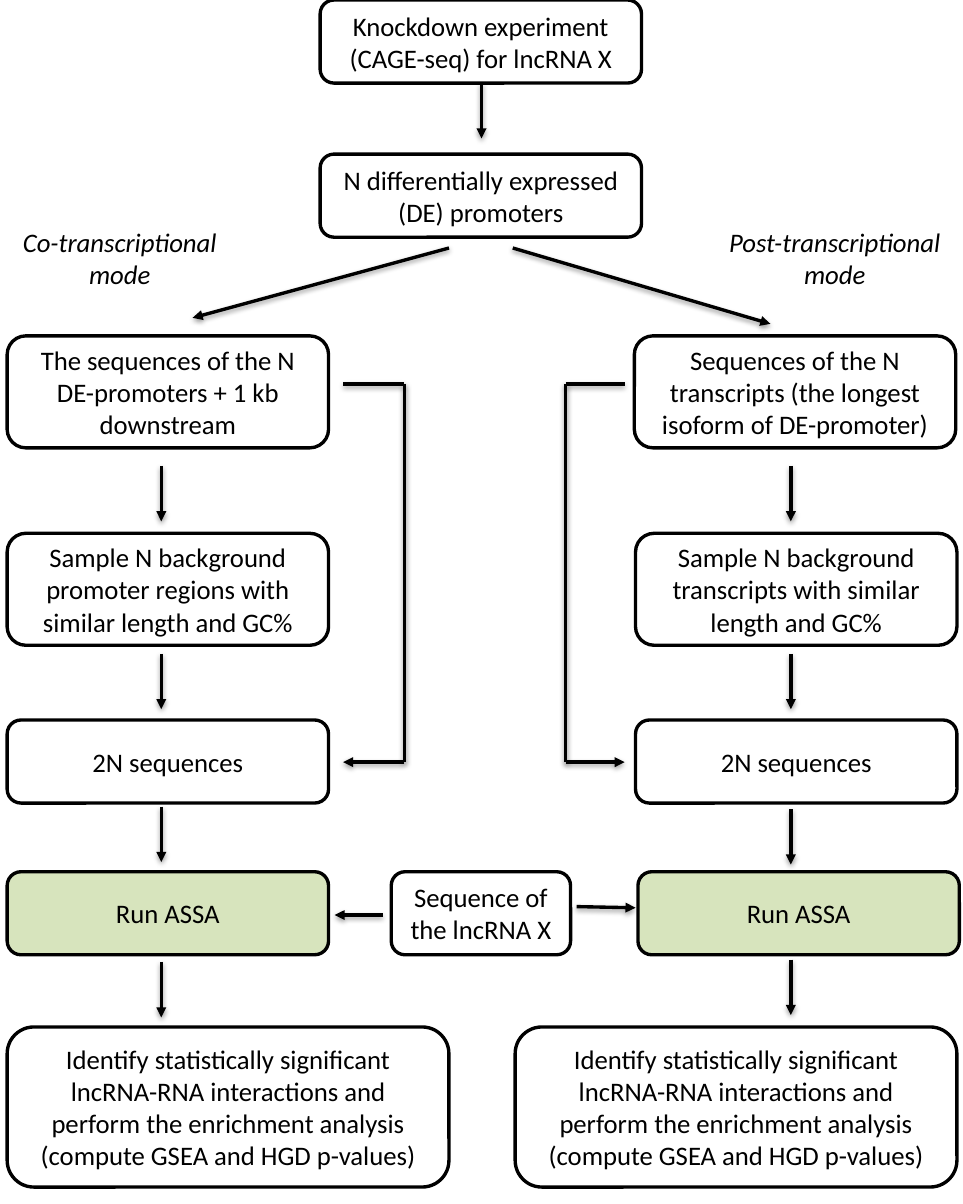
"""Build the lncRNA enrichment flowchart slide."""
from dataclasses import dataclass

from lxml import etree
from pptx import Presentation
from pptx.dml.color import RGBColor as RGB
from pptx.enum.shapes import MSO_CONNECTOR as LINK, MSO_SHAPE as SHAPE
from pptx.enum.text import MSO_ANCHOR as ANCHOR, PP_ALIGN as ALIGN
from pptx.oxml import parse_xml
from pptx.oxml.ns import nsdecls, qn
from pptx.util import Inches, Pt


@dataclass(frozen=True)
class Theme:
    ink: RGB = RGB(0, 0, 0)
    paper: RGB = RGB(255, 255, 255)
    green: RGB = RGB(0xD7, 0xE4, 0xBD)
    font: str = "Calibri"
    size: Pt = Pt(16)
    line: Pt = Pt(2)


LOOK = Theme()
WIDE, LOW, TALL = 2.67, 0.69, 0.93
DROP = 0.46
RUN = "Run ASSA"
PAIR = "2N sequences"
RESULT = ("Identify statistically significant lncRNA-RNA interactions and "
          "perform the enrichment analysis (compute GSEA and HGD p-values)")

HEADS = [
    ("Knockdown experiment (CAGE-seq) for lncRNA X", 0),
    ("N differentially expressed (DE) promoters", 1.28),
]
ROWS = [(2.79, WIDE, TALL), (4.43, WIDE, TALL), (5.98, WIDE, LOW),
        (7.24, WIDE, LOW), (8.53, 3.67, 1.33)]
LANES = [
    dict(lefts=[0.06] * 5, mid=1.34, drops=[3.87, 5.43, 6.7, 7.99],
         steps=["The sequences of the N DE-promoters + 1 kb downstream",
                "Sample N background promoter regions with similar length and GC%",
                PAIR, RUN, RESULT]),
    dict(lefts=[5.27, 5.28, 5.28, 5.3, 4.28], mid=6.57,
         drops=[3.87, 5.43, 6.72, 7.97],
         steps=["Sequences of the N transcripts (the longest isoform of DE-promoter)",
                "Sample N background transcripts with similar length and GC%",
                PAIR, RUN, RESULT]),
]
MODES = [("Co-transcriptional mode", 0, 1.99),
         ("Post-transcriptional mode", 5.87, 2.13)]
FORKS = [(3.73, 2.06, 1.6, 2.64), (4.26, 2.06, 6.4, 2.69)]
FEEDS = [(3.18, 7.6, 2.78, 7.6), (4.79, 7.53, 5.28, 7.54)]
LOOPS = [(3.36, 2.85), (4.7, 5.19)]
LOOP_TOP, LOOP_END = 3.19, 6.33

SHADE = (f'<a:effectLst {nsdecls("a")}><a:outerShdw blurRad="39370" '
         'dist="20320" dir="5400000" rotWithShape="0"><a:srgbClr val="000000">'
         '<a:alpha val="38000"/></a:srgbClr></a:outerShdw></a:effectLst>')


def box(text, left, top, wide, high, fill=LOOK.paper, label=False):
    """Add a rounded box, or a borderless italic label."""
    item = slide.shapes.add_shape(SHAPE.ROUNDED_RECTANGLE, Inches(left),
                                  Inches(top), Inches(wide), Inches(high))
    item.shadow.inherit = False
    item.fill.solid()
    item.fill.fore_color.rgb = fill
    if label:
        item.line.fill.background()
    else:
        item.line.color.rgb = LOOK.ink
        item.line.width = LOOK.line
    frame = item.text_frame
    frame.text = text
    frame.word_wrap = True
    frame.vertical_anchor = ANCHOR.MIDDLE
    para = frame.paragraphs[0]
    para.alignment = ALIGN.CENTER
    font = para.runs[0].font
    font.name, font.size = LOOK.font, LOOK.size
    font.color.rgb = LOOK.ink
    if label:
        font.italic = True


def link(x1, y1, x2, y2, arrow=True):
    """Add a shadowed straight line, with an arrowhead at its end if asked."""
    item = slide.shapes.add_connector(LINK.STRAIGHT, Inches(x1), Inches(y1),
                                      Inches(x2), Inches(y2))
    item.line.color.rgb = LOOK.ink
    item.line.width = LOOK.line
    if arrow:
        tip = etree.SubElement(item.line._get_or_add_ln(), qn("a:tailEnd"))
        tip.set("type", "triangle")
    item._element.spPr.append(parse_xml(SHADE))


deck = Presentation()
deck.slide_width, deck.slide_height = Inches(8), Inches(10)
slide = deck.slides.add_slide(deck.slide_layouts[6])

for text, top in HEADS:
    box(text, 2.66, top, WIDE, LOW)
link(4, LOW, 4, LOW + DROP)

for lane in LANES:
    for text, left, (top, wide, high) in zip(lane["steps"], lane["lefts"], ROWS):
        box(text, left, top, wide, high, LOOK.green if text == RUN else LOOK.paper)
    for top in lane["drops"]:
        link(lane["mid"], top, lane["mid"], top + DROP)

box("Sequence of the lncRNA X", 3.25, 7.24, 1.49, LOW)
for ends in FORKS + FEEDS:
    link(*ends)
for spine, side in LOOPS:
    link(spine, LOOP_TOP, side, LOOP_TOP, arrow=False)
    link(spine, LOOP_TOP, spine, LOOP_END, arrow=False)
    link(spine, LOOP_END, side, LOOP_END)
for text, left, wide in MODES:
    box(text, left, 1.8, wide, LOW, label=True)

deck.save("out.pptx")
